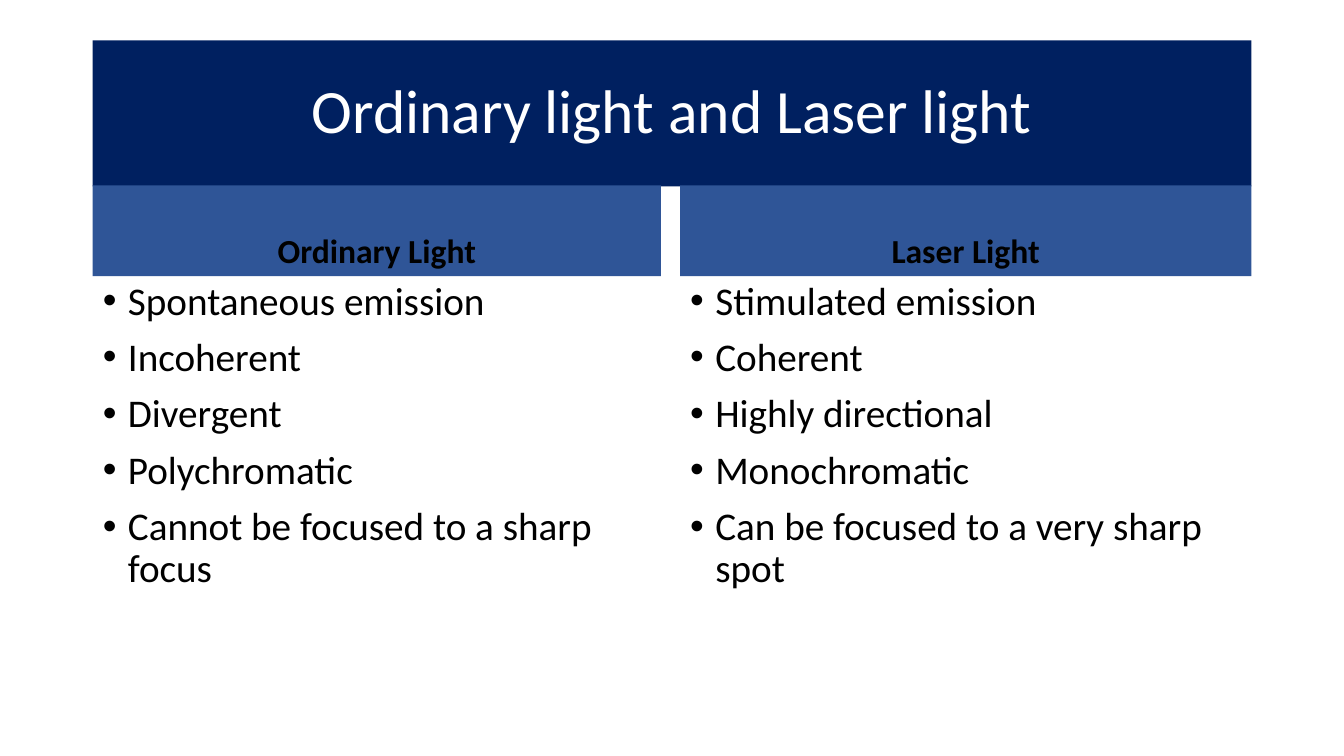
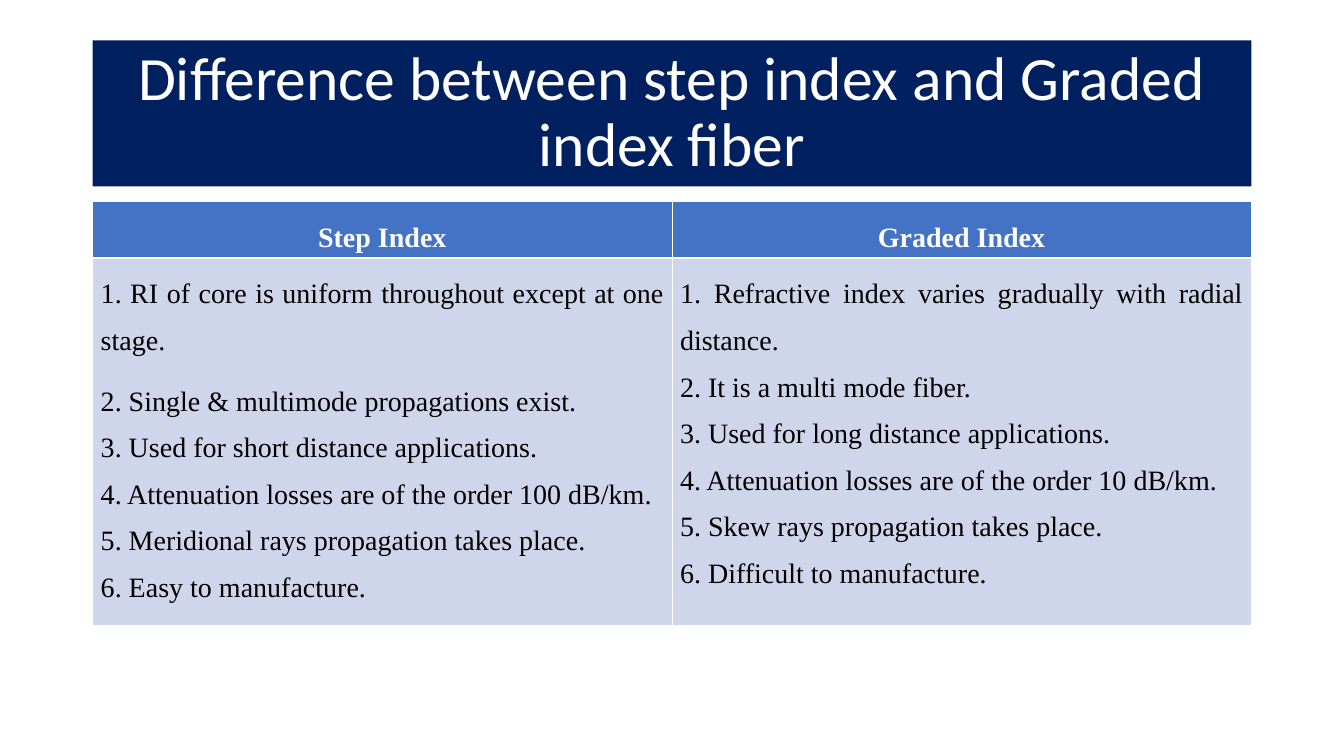
import pptx
import pptx.util
import pptx.dml.color
import pptx.enum.text
import pptx.oxml
import pptx.oxml.ns

Inches, Pt = pptx.util.Inches, pptx.util.Pt
ALIGN, ANCHOR = pptx.enum.text.PP_ALIGN, pptx.enum.text.MSO_ANCHOR

COLORS = {
    "title": "002060",
    "heading": "2F5597",
    "table_head": "4472C4",
    "table_body": "CFD5EA",
    "white": "FFFFFF",
    "black": "000000",
}
SANS, SERIF = "Calibri", "Times New Roman"
LEFT, WIDTH = 0.92, 11.5
COMPARISON, TITLE_ONLY = 4, 5  # layouts of the default template
THIN, THICK = 0.45, 1.47  # table rules, in points


def rgb(name):
    return pptx.dml.color.RGBColor.from_string(COLORS[name])


def paint(target, name):
    target.fill.solid()
    target.fill.fore_color.rgb = rgb(name)


def add_xml(parent, xml, index=None):
    ns = pptx.oxml.ns.nsdecls("a")
    tag, rest = xml.split(" ", 1)
    element = pptx.oxml.parse_xml(f"{tag} {ns} {rest}")
    parent.insert(len(parent) if index is None else index, element)


def write(tf, lines, size=20, font=SANS, color="black", bold=False,
          align=ALIGN.LEFT, spacing=0.9, before=0, after=0, bullet=False):
    """Fill a text frame with one paragraph per line, all in one format."""
    for i, line in enumerate(lines):
        p = tf.paragraphs[0] if i == 0 else tf.add_paragraph()
        p.alignment, p.line_spacing = align, spacing
        p.space_before, p.space_after = Pt(before), Pt(after)
        r = p.add_run()
        r.text = line
        r.font.size, r.font.name, r.font.bold = Pt(size), font, bold
        r.font.color.rgb = rgb(color)
        if bullet:
            pPr = p._p.get_or_add_pPr()
            pPr.set("marL", str(Inches(0.25)))
            pPr.set("indent", str(-Inches(0.25)))
            add_xml(pPr, f'<a:buClr ><a:srgbClr val="{COLORS[color]}"/></a:buClr>')
            add_xml(pPr, '<a:buFont typeface="Arial"/>')
            add_xml(pPr, '<a:buChar char="•"/>')


def fill_placeholder(sp, box, lines, fill=None, anchor=ANCHOR.TOP, **fmt):
    sp.left, sp.top, sp.width, sp.height = map(Inches, box)
    if fill:
        paint(sp, fill)
    tf = sp.text_frame
    tf.word_wrap = True
    tf.auto_size = pptx.enum.text.MSO_AUTO_SIZE.NONE
    tf.vertical_anchor = anchor
    write(tf, lines, **fmt)


def add_slide(prs, layout, title):
    s = prs.slides.add_slide(prs.slide_layouts[layout])
    fill_placeholder(s.shapes.title, (LEFT, 0.4, WIDTH, 1.45), [title],
                     fill="title", anchor=ANCHOR.MIDDLE, size=44,
                     color="white", align=ALIGN.CENTER)
    return s


def add_column(s, first_idx, left, width, heading, items):
    """Heading band with a bulleted list under it."""
    fill_placeholder(s.placeholders[first_idx], (left, 1.84, width, 0.9),
                     [heading], fill="heading", anchor=ANCHOR.BOTTOM, size=24,
                     bold=True, align=ALIGN.CENTER, before=10)
    fill_placeholder(s.placeholders[first_idx + 1], (left, 2.74, width, 4.03),
                     items, size=28, before=10, bullet=True)


def format_cell(cell, fill, top, bottom):
    paint(cell, fill)
    cell.margin_left = cell.margin_right = Inches(0.08)
    cell.margin_top = cell.margin_bottom = Inches(0.05)
    rules = (("L", THIN), ("R", THIN), ("T", top), ("B", bottom))
    for i, (side, width) in enumerate(rules):
        add_xml(cell._tc.get_or_add_tcPr(),
                f'<a:ln{side} w="{Pt(width)}"><a:solidFill><a:srgbClr '
                f'val="{COLORS["white"]}"/></a:solidFill></a:ln{side}>', i)


def add_comparison_table(s, columns):
    table = s.shapes.add_table(2, len(columns), Inches(LEFT), Inches(2),
                               Inches(WIDTH), Inches(4.14)).table
    for row, height in zip(table.rows, (0.5, 3.64)):
        row.height = Inches(height)
    for col, (heading, items) in enumerate(columns):
        head, body = table.cell(0, col), table.cell(1, col)
        format_cell(head, "table_head", THIN, THICK)
        format_cell(body, "table_body", THICK, THIN)
        write(head.text_frame, [heading], font=SERIF, color="white", bold=True,
              align=ALIGN.CENTER, spacing=1.5, after=10)
        write(body.text_frame, [f"{n}. {item}" for n, item in enumerate(items, 1)],
              font=SERIF, align=ALIGN.JUSTIFY, spacing=1.5)
    return table


def main():
    prs = pptx.Presentation()
    prs.slide_width, prs.slide_height = Inches(13.34), Inches(7.5)

    # Light sources
    s = add_slide(prs, COMPARISON, "Ordinary light and Laser light")
    add_column(s, 1, LEFT, 5.64, "Ordinary Light", [
        "Spontaneous emission", "Incoherent", "Divergent", "Polychromatic",
        "Cannot be focused to a sharp focus"])
    add_column(s, 3, 6.75, 5.67, "Laser Light", [
        "Stimulated emission", "Coherent", "Highly directional",
        "Monochromatic", "Can be focused to a very sharp spot"])

    # Fiber types
    s = add_slide(prs, TITLE_ONLY,
                  "Difference between step index and Graded index fiber")
    table = add_comparison_table(s, [
        ("Step Index", [
            "RI of core is uniform throughout except at one stage.",
            "Single & multimode propagations exist.",
            "Used for short distance applications.",
            "Attenuation losses are of the order 100 dB/km.",
            "Meridional rays propagation takes place.",
            "Easy to manufacture."]),
        ("Graded Index", [
            "Refractive index varies gradually with radial distance.",
            "It is a multi mode fiber.",
            "Used for long distance applications.",
            "Attenuation losses are of the order 10 dB/km.",
            "Skew rays propagation takes place.",
            "Difficult to manufacture."]),
    ])
    # The first step-index point stands apart from the rest
    table.cell(1, 0).text_frame.paragraphs[0].space_after = Pt(10)

    prs.save("out.pptx")


if __name__ == "__main__":
    main()
